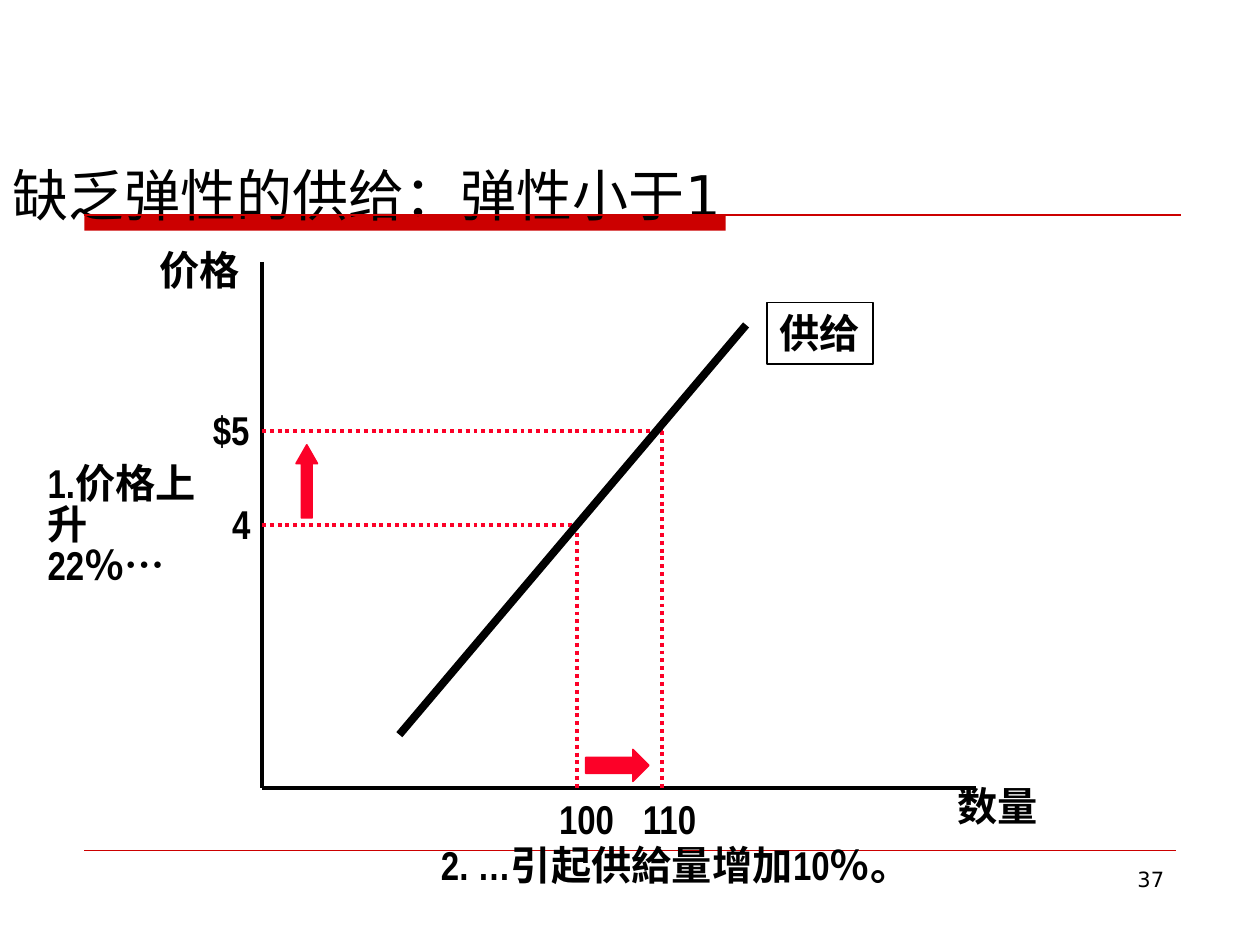
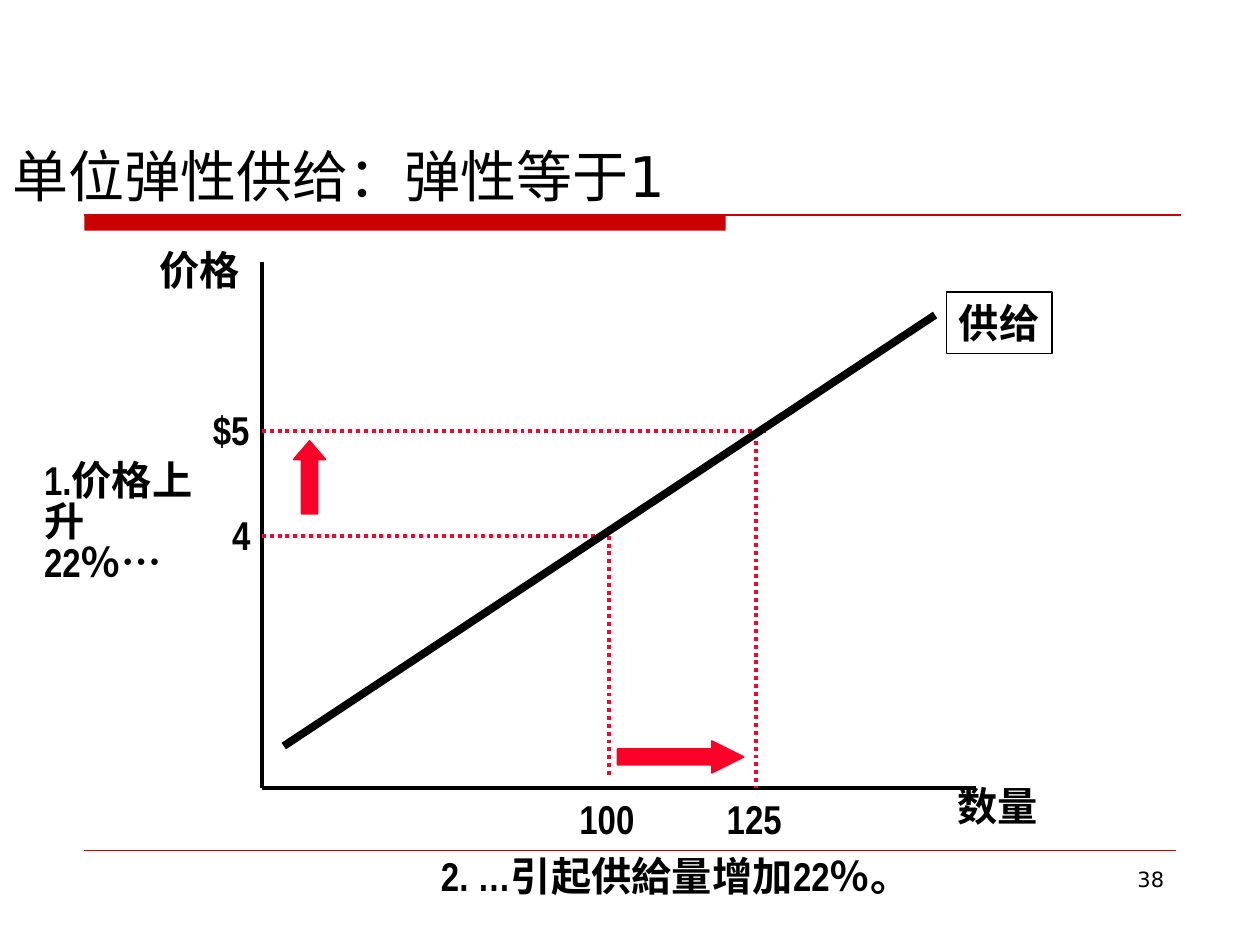
from lxml import etree
from pptx import Presentation
from pptx.dml.color import RGBColor
from pptx.enum.dml import MSO_LINE
from pptx.enum.shapes import MSO_CONNECTOR, MSO_SHAPE
from pptx.enum.text import MSO_ANCHOR, MSO_AUTO_SIZE, PP_ALIGN
from pptx.oxml.ns import qn
from pptx.util import Cm, Pt

STRAIGHT = MSO_CONNECTOR.STRAIGHT
DOTTED = MSO_LINE.ROUND_DOT
RECT, UP, RIGHT = MSO_SHAPE.RECTANGLE, MSO_SHAPE.UP_ARROW, MSO_SHAPE.RIGHT_ARROW
TOP, BOTTOM = MSO_ANCHOR.TOP, MSO_ANCHOR.BOTTOM
LEFT_ALIGN, RIGHT_ALIGN = PP_ALIGN.LEFT, PP_ALIGN.RIGHT
NO_FIT, GROW = MSO_AUTO_SIZE.NONE, MSO_AUTO_SIZE.SHAPE_TO_FIT_TEXT

BLACK, BAND_RED, GUIDE_RED = "000000", "CC0000", "FC0128"
TITLE_FONT, LABEL_FONT = "DejaVu Sans", "Arial Narrow"
PLOT = (5.28, 5.28, 14.4, 10.6)
LINE_HEIGHT = 1.24
LABEL_SLACK = 0.2

SLIDES = [
    dict(
        title="缺乏弹性的供给：弹性小于1", title_top=2.51, number="37",
        prices=[("4", 0.85, 5.31, 6.35), ("$5", 1.24, 3.41, 8.06)],
        quantities=[("100", 6.35, 5.31, 10.6, 0.61), ("110", 8.06, 3.41, 10.6, 0.63)],
        supply=(2.77, 9.53, 9.76, 1.27), supply_label=(10.19, 0.82),
        up=(0.69, 3.69, 0.43, 1.47), up_head=0.876,
        right=(6.53, 9.83, 1.27, 0.64), right_head=0.5,
        cause=(-4.57, 3.98),
        effect="2. …引起供給量增加10％。", effect_top=11.53,
    ),
    dict(
        title="单位弹性供给：弹性等于1", title_top=2.13, number="38",
        prices=[("4", 0.85, 5.52, 6.99), ("$5", 1.24, 3.41, 10.16)],
        quantities=[("100", 6.99, 5.52, 10.39, 0.84), ("125", 9.96, 3.61, 10.6, 0.84)],
        supply=(0.44, 9.76, 13.57, 1.07), supply_label=(13.8, 0.61),
        up=(0.64, 3.61, 0.64, 1.47), up_head=0.583,
        right=(7.17, 9.66, 2.54, 0.64), right_head=1,
        cause=(-4.64, 3.92),
        effect="2. …引起供給量增加22％。", effect_top=11.76,
    ),
]


def rgb(value):
    """Turn a hex string into a colour."""
    return RGBColor.from_string(value)


def write(shape, text, size=23, font=LABEL_FONT, bold=True, align=LEFT_ALIGN,
          anchor=TOP, spacing=None, wrap=False, fit=GROW):
    """Fill a shape with text, one paragraph per line, in one format."""
    tf = shape.text_frame
    tf.word_wrap, tf.auto_size, tf.vertical_anchor = wrap, fit, anchor
    tf.text = text
    for p in tf.paragraphs:
        p.alignment, p.line_spacing = align, spacing
        for r in p.runs:
            r.font.name, r.font.size, r.font.bold = font, Pt(size), bold
            r.font.color.rgb = rgb(BLACK)


def add_text(s, x, y, w, h, text, **fmt):
    """Add a text box with formatted text."""
    write(s.shapes.add_textbox(Cm(x), Cm(y), Cm(w), Cm(h)), text, **fmt)


def add_line(s, x1, y1, x2, y2, color=BLACK, width=2.25, dash=None):
    """Add a straight line without a shadow."""
    c = s.shapes.add_connector(STRAIGHT, Cm(x1), Cm(y1), Cm(x2), Cm(y2))
    c.line.color.rgb, c.line.width = rgb(color), Pt(width)
    if dash:
        c.line.dash_style = dash
    etree.SubElement(c._element.spPr, qn("a:effectLst"))


def add_box(s, kind, x, y, w, h, fill=None, line=None):
    """Add a preset shape with an optional fill and outline."""
    sp = s.shapes.add_shape(kind, Cm(x), Cm(y), Cm(w), Cm(h))
    sp.shadow.inherit = False
    for part, color in ((sp.fill, fill), (sp.line.fill, line)):
        if color:
            part.solid()
            part.fore_color.rgb = rgb(color)
        else:
            part.background()
    if line:
        sp.line.width = Pt(1)
    return sp


def add_frame(s, title, top, number):
    """Draw the title, its band, the footer rule and the slide number."""
    band = add_box(s, RECT, 1.7, 4.34, 12.93, 0.31, fill=BAND_RED)
    s.shapes._spTree.insert(2, band._element)
    add_line(s, 1.7, 4.34, 23.8, 4.34, BAND_RED, 1)
    add_line(s, 1.7, 17.14, 23.7, 17.14, BAND_RED, 0.25)

    t = s.shapes.title
    t.left, t.top, t.width, t.height = Cm(0), Cm(top), Cm(25.4), Cm(2.21)
    write(t, title, size=32, font=TITLE_FONT, bold=False, anchor=BOTTOM,
          spacing=1.4, wrap=True, fit=NO_FIT)
    add_text(s, 18.21, 17.35, 5.51, 1.32, number, size=12, font=TITLE_FONT,
             bold=False, align=RIGHT_ALIGN, wrap=True, fit=NO_FIT)


def add_axes(s, box):
    """Draw and name the price and quantity axes along a box."""
    x, y, w, h = box
    add_line(s, x, y, x, y + h)
    add_line(s, x, y + h, x + w, y + h)
    add_text(s, x + 13.77, y + 10.34, 2.13, LINE_HEIGHT, "数量")
    add_text(s, x - 2.31, y - 0.45, 2.13, LINE_HEIGHT, "价格")


def add_guides(s, box, prices, quantities):
    """Draw dotted price and quantity guides with their values."""
    x, y, _, h = box
    for label, width, level, end in prices:
        add_text(s, x - width, y + level - 0.64, width + LABEL_SLACK, LINE_HEIGHT, label)
        add_line(s, x, y + level, x + end, y + level, GUIDE_RED, dash=DOTTED)
    for label, pos, start, end, shift in quantities:
        add_line(s, x + pos, y + start, x + pos, y + end, GUIDE_RED, dash=DOTTED)
        add_text(s, x + pos - shift, y + h, 1.63, LINE_HEIGHT, label)


def add_supply(s, box, ends, label_at):
    """Draw the supply line and its framed label."""
    x, y = box[:2]
    x1, y1, x2, y2 = ends
    sp = add_box(s, RECT, x + label_at[0], y + label_at[1], 2.13, LINE_HEIGHT, line=BLACK)
    write(sp, "供给")
    add_line(s, x + x1, y + y1, x + x2, y + y2, width=4.5)


def add_changes(s, box, d):
    """Place the arrows and notes for the price rise and its effect."""
    x, y = box[:2]
    for kind, (ax, ay, w, h), head in ((UP, d["up"], d["up_head"]),
                                       (RIGHT, d["right"], d["right_head"])):
        sp = add_box(s, kind, x + ax, y + ay, w, h, fill=GUIDE_RED, line=GUIDE_RED)
        sp.adjustments[0], sp.adjustments[1] = 0.5, head
    cx, cy = d["cause"]
    add_text(s, x + cx, y + cy, 3.96, 2.79, "1.价格上\n升\n22％…", spacing=0.85)
    add_text(s, x + 3.36, y + d["effect_top"], 10.54, LINE_HEIGHT, d["effect"])


def add_supply_slide(prs, d):
    """Build one slide with a supply diagram."""
    s = prs.slides.add_slide(prs.slide_layouts[5])
    add_frame(s, d["title"], d["title_top"], d["number"])
    add_axes(s, PLOT)
    add_guides(s, PLOT, d["prices"], d["quantities"])
    add_supply(s, PLOT, d["supply"], d["supply_label"])
    add_changes(s, PLOT, d)


def main():
    """Build and save the presentation."""
    prs = Presentation()
    prs.slide_width, prs.slide_height = Cm(25.4), Cm(19.05)
    for d in SLIDES:
        add_supply_slide(prs, d)
    prs.save("out.pptx")


if __name__ == "__main__":
    main()
